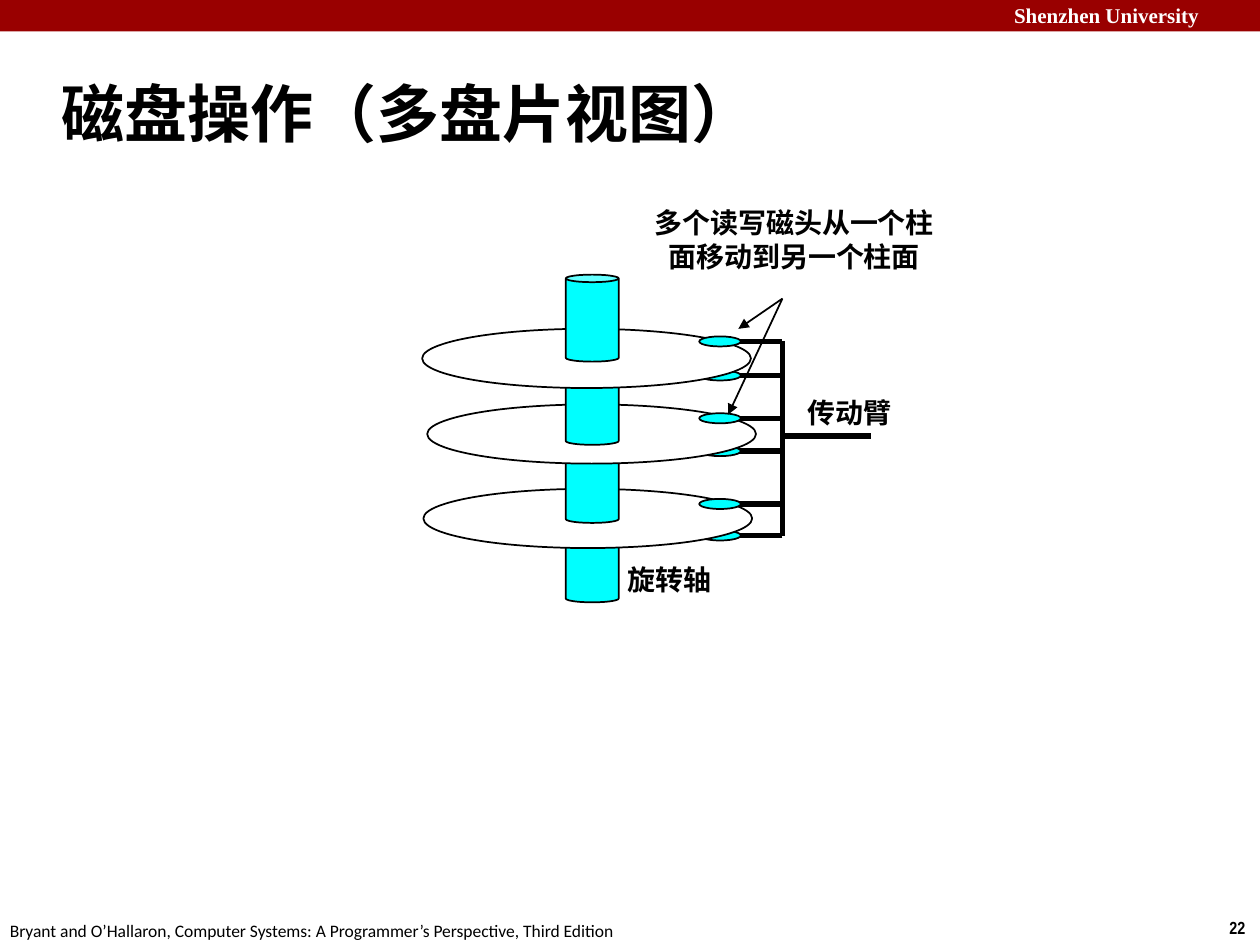
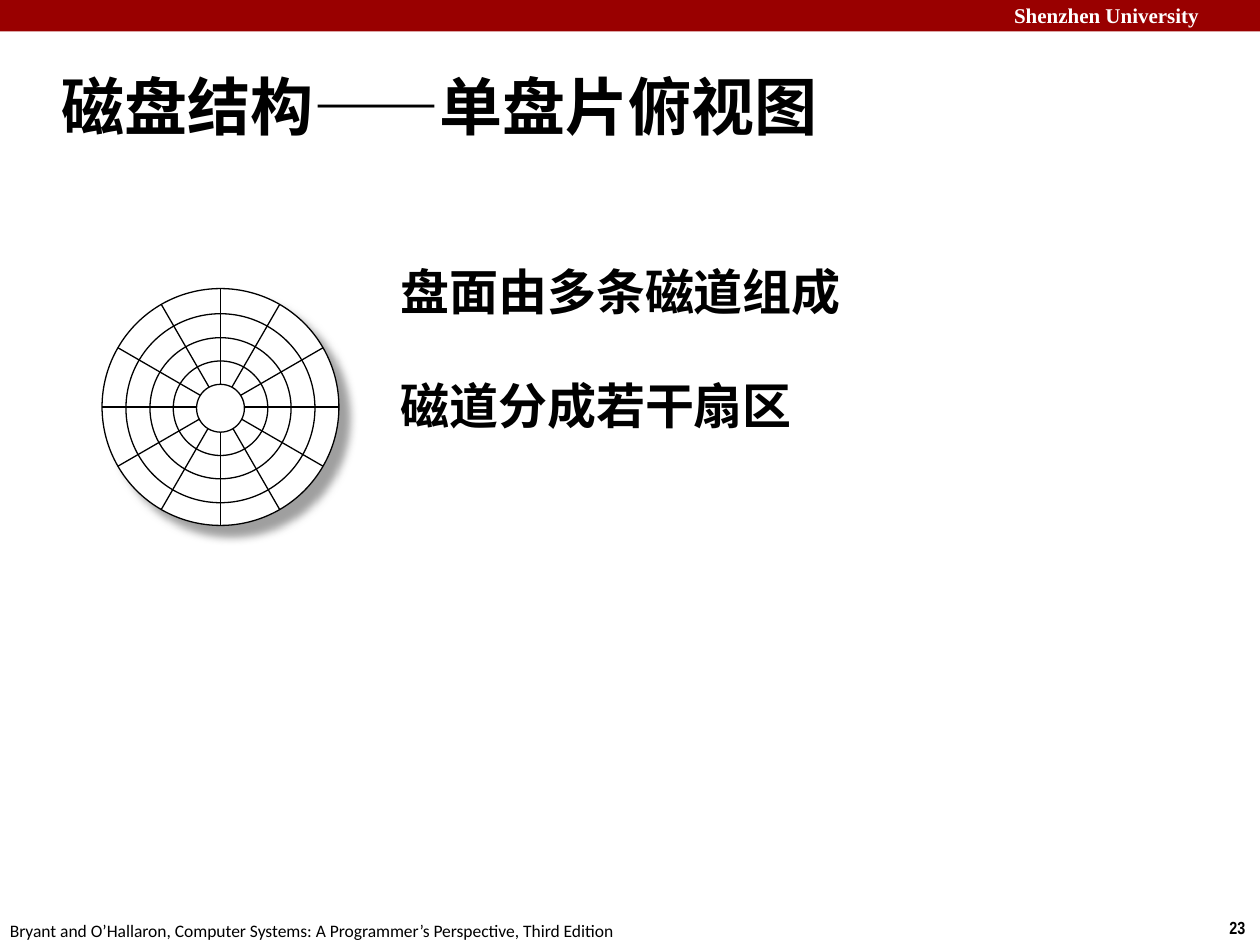
from math import cos, radians, sin

from lxml import etree
from pptx import Presentation
from pptx.dml.color import RGBColor
from pptx.enum.shapes import MSO_CONNECTOR, MSO_SHAPE
from pptx.enum.text import MSO_ANCHOR, MSO_AUTO_SIZE, PP_ALIGN
from pptx.oxml.ns import qn
from pptx.util import Emu, Pt

PX = 9144
BLACK, WHITE, RED, CYAN, GREY = "000000", "FFFFFF", "990000", "00FFFF", "808080"
STRAIGHT = MSO_CONNECTOR.STRAIGHT
RECTANGLE, OVAL, CAN = MSO_SHAPE.RECTANGLE, MSO_SHAPE.OVAL, MSO_SHAPE.CAN
TOP, MIDDLE, BOTTOM = MSO_ANCHOR.TOP, MSO_ANCHOR.MIDDLE, MSO_ANCHOR.BOTTOM
LEFT, CENTER = PP_ALIGN.LEFT, PP_ALIGN.CENTER
GROW, FIXED = MSO_AUTO_SIZE.SHAPE_TO_FIT_TEXT, MSO_AUTO_SIZE.NONE

TITLE = {"name": "Calibri", "size": Pt(36), "bold": True}
HEADER = {"name": "Times New Roman", "size": Pt(12), "bold": True}
FOOTER = {"name": "Calibri", "size": Pt(10)}
NUMBER = {"name": "Arial Narrow", "size": Pt(10), "bold": True}
LABEL = {"name": "Arial Narrow", "size": Pt(16), "bold": True}
STATEMENT = {"name": "Arial", "size": Pt(28), "bold": True}


def px(*lengths):
    """Turn lengths in px into EMU."""
    return [Emu(round(length * PX)) for length in lengths]


def color(value):
    """Turn a hex string into a colour."""
    return RGBColor.from_string(value)


def add_text(slide, box, text, font, ink=BLACK, anchor=TOP, align=LEFT, wrap=True, size=GROW):
    """Add a one-paragraph text box."""
    frame = slide.shapes.add_textbox(*px(*box)).text_frame
    settings = {"word_wrap": wrap, "auto_size": size, "vertical_anchor": anchor}
    for name, value in settings.items():
        setattr(frame, name, value)
    paragraph = frame.paragraphs[0]
    paragraph.alignment = align
    run = paragraph.add_run()
    run.text = text
    for name, value in font.items():
        setattr(run.font, name, value)
    run.font.color.rgb = color(ink)


def add_figure(slide, kind, box, fill=None, width=1.0):
    """Add a preset shape with a black outline, or none when width is 0."""
    shape = slide.shapes.add_shape(kind, *px(*box))
    shape.shadow.inherit = False
    if fill:
        shape.fill.solid()
        shape.fill.fore_color.rgb = color(fill)
    else:
        shape.fill.background()
    if width:
        shape.line.color.rgb = color(BLACK)
        shape.line.width = Pt(width)
    else:
        shape.line.fill.background()
    return shape


def add_line(slide, start, end, width, arrow=False):
    """Add a straight black line, with an arrowhead at its end if asked."""
    line = slide.shapes.add_connector(STRAIGHT, *px(*start, *end))
    line.line.color.rgb = color(BLACK)
    line.line.width = Pt(width)
    if arrow:
        etree.SubElement(line.line._get_or_add_ln(), qn("a:tailEnd"), type="triangle")
    etree.SubElement(line._element.spPr, qn("a:effectLst"))


def add_shadow(shape):
    """Give a shape a soft grey shadow to the lower right."""
    effects = shape._element.spPr.find(qn("a:effectLst"))
    shadow = etree.SubElement(effects, qn("a:outerShdw"), blurRad=str(Pt(5)),
                              dist=str(Pt(8.5)), dir="2700000", algn="ctr", rotWithShape="0")
    tint = etree.SubElement(shadow, qn("a:srgbClr"), val=GREY)
    etree.SubElement(tint, qn("a:alpha"), val="75000")


def add_page(presentation, number, title, title_box):
    """Add a slide with the shared band, footer and title."""
    slide = presentation.slides.add_slide(presentation.slide_layouts[6])
    add_figure(slide, RECTANGLE, (0, 0, 1000, 25), RED, 0)
    add_text(slide, (795, -3, 212, 30), "Shenzhen University", HEADER, WHITE)
    add_text(slide, (966, 723, 34, 27), str(number), NUMBER, wrap=False)
    add_text(slide, (-2, 725, 509, 27),
             "Bryant and O’Hallaron, Computer Systems: A Programmer’s Perspective, Third Edition",
             FOOTER, wrap=False)
    add_text(slide, title_box, title, TITLE, anchor=MIDDLE, size=FIXED)
    return slide


def add_head(slide, left, top, arm_x):
    """Add a read/write head and the arm that holds it."""
    middle = top + 4
    add_line(slide, (arm_x, middle), (left + 16, middle), 3)
    add_figure(slide, OVAL, (left, top, 33, 8), CYAN)


def add_spindle(slide, left, top):
    """Add one section of the spindle."""
    can = add_figure(slide, CAN, (left, top, 42, 69), CYAN)
    can.adjustments[0] = 0.142


def draw_drive(slide, left, top):
    """Draw the stacked platters, spindle, heads, arms and labels."""
    arm_x, spindle_x = left + 286, left + 114
    platters = [(left + 1, top + 170), (left + 4, top + 103), (left, top + 43)]
    sections = [top + 191, top + 128, top + 66]
    for _, y in platters:
        add_head(slide, left + 220, y + 33, arm_x)
    for (x, y), section in zip(platters, sections):
        add_spindle(slide, spindle_x, section)
        add_figure(slide, OVAL, (x, y, 261, 47), WHITE)
    add_spindle(slide, spindle_x, top)
    for (_, y), offset in zip(platters, (8, 7, 6)):
        add_head(slide, left + 220, y + offset, arm_x)
    add_line(slide, (arm_x, top + 53), (arm_x, top + 207), 3)
    add_line(slide, (arm_x, top + 128), (arm_x + 70, top + 128), 3)
    for x, y in ((251, 43), (243, 111)):
        add_line(slide, (arm_x, top + 19), (left + x, top + y), 1, arrow=True)
    add_text(slide, (left + 296, top + 91, 87, 37), "传动臂", LABEL,
             anchor=MIDDLE, wrap=False)
    add_text(slide, (left + 166, top - 60, 259, 64), "多个读写磁头从一个柱面移动到另一个柱面",
             LABEL, anchor=MIDDLE, align=CENTER)
    add_text(slide, (left + 153, top + 223, 87, 37), "旋转轴", LABEL,
             anchor=MIDDLE, align=CENTER, wrap=False)


def draw_platter(slide, left, top, size):
    """Draw a platter from above, cut into tracks and sectors."""
    radius = size / 2
    x, y = left + radius, top + radius
    add_shadow(add_figure(slide, OVAL, (left, top, size, size), WHITE, 0.75))
    for angle in range(0, 180, 30):
        run, rise = radius * cos(radians(angle)), radius * sin(radians(angle))
        add_line(slide, (x + run, y - rise), (x - run, y + rise), 0.75)
    for track, fill in ((19, WHITE), (75, None), (56, None), (37.5, None)):
        ring = track
        add_figure(slide, OVAL, (x - ring, y + 1 - ring, 2 * ring, 2 * ring), fill, 0.75)


def draw_statements(slide, left, top, statements):
    """Stack large statements at an equal pitch."""
    for index, statement in enumerate(statements):
        add_text(slide, (left, top + 91 * index, 610, 92), statement, STATEMENT,
                 anchor=BOTTOM, size=FIXED)


def main():
    """Build the presentation."""
    presentation = Presentation()
    presentation.slide_width, presentation.slide_height = px(1000, 750)
    slide = add_page(presentation, 22, "磁盘操作（多盘片视图）", (39, 48, 830, 83))
    draw_drive(slide, 335, 218)
    slide = add_page(presentation, 23, "磁盘结构——单盘片俯视图", (39, 42, 928, 83))
    draw_platter(slide, 81, 229, 188)
    draw_statements(slide, 308, 167, ["盘面由多条磁道组成", "磁道分成若干扇区"])
    presentation.save("out.pptx")


if __name__ == "__main__":
    main()
